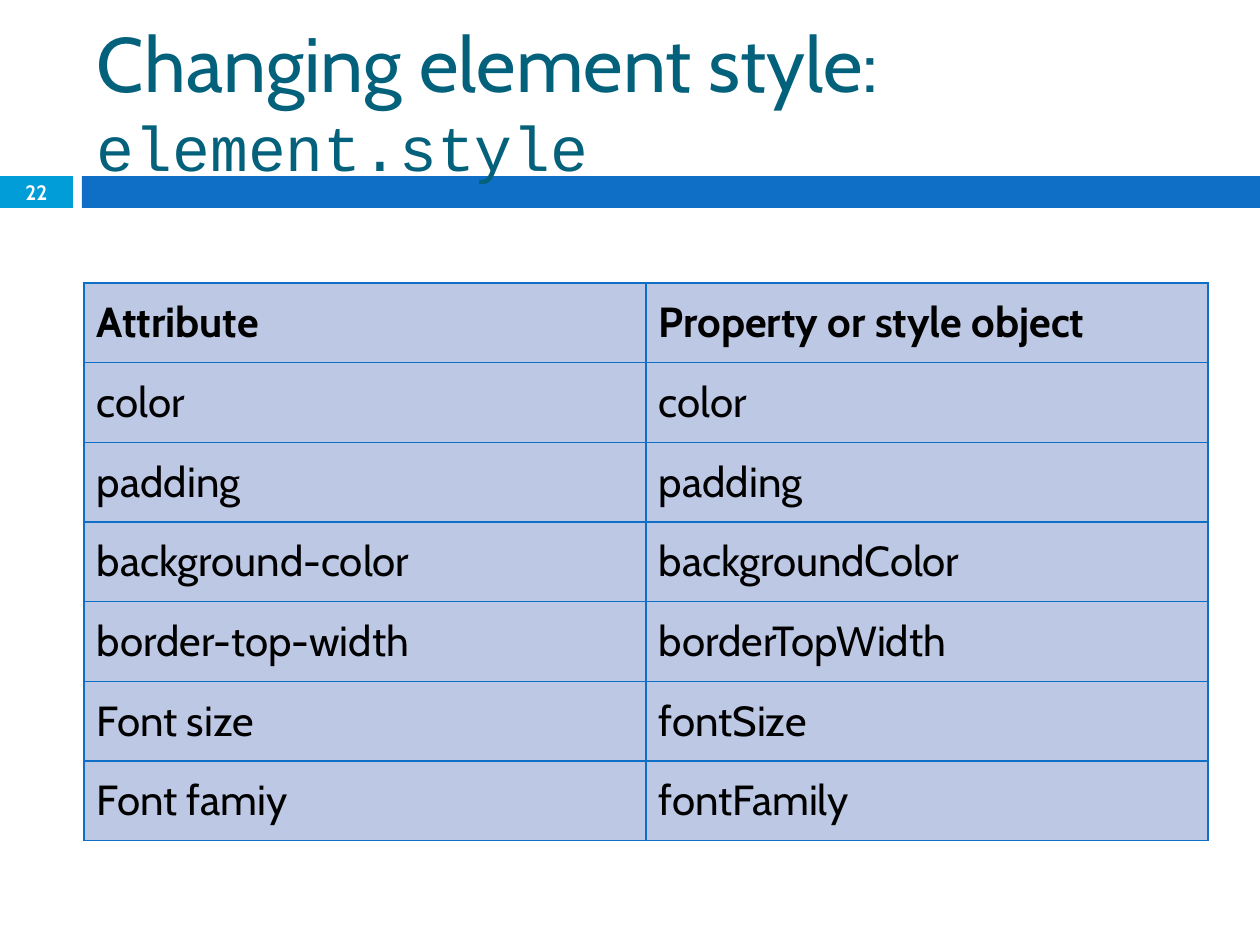
from lxml.etree import SubElement
from pptx import Presentation
from pptx.dml.color import RGBColor
from pptx.enum.shapes import MSO_SHAPE
from pptx.enum.text import MSO_ANCHOR, PP_ALIGN
from pptx.oxml.ns import qn
from pptx.util import Pt

EMU_PER_PX = 914400 / 126
COLORS = {
    "title": "04617B",
    "badge": "009DD9",
    "band": "0F6FC6",
    "cell": "BDC8E4",
    "text": "000000",
    "white": "FFFFFF",
}
ROWS = [
    ("Attribute", "Property or style object"),
    ("color", "color"),
    ("padding", "padding"),
    ("background-color", "backgroundColor"),
    ("border-top-width", "borderTopWidth"),
    ("Font size", "fontSize"),
    ("Font famiy", "fontFamily"),
]


def px(value):
    return round(value * EMU_PER_PX)


def color(name):
    return RGBColor.from_string(COLORS[name])


def add_text(paragraph, text, size=24, font="Cabin", fill="text", bold=False):
    run = paragraph.add_run()
    run.text = text
    run.font.size = Pt(size)
    run.font.name = font
    run.font.bold = bold
    run.font.color.rgb = color(fill)


class SlideBuilder:
    """Draws styled elements on the current slide."""

    def __init__(self, slide):
        self.slide = slide

    def bar(self, left, top, width, height, fill):
        shape = self.slide.shapes.add_shape(
            MSO_SHAPE.RECTANGLE, px(left), px(top), px(width), px(height))
        shape.shadow.inherit = False
        shape.fill.solid()
        shape.fill.fore_color.rgb = color(fill)
        shape.line.fill.background()

    def text_box(self, left, top, width, height, align=PP_ALIGN.LEFT, margin=13):
        box = self.slide.shapes.add_textbox(px(left), px(top), px(width), px(height))
        frame = box.text_frame
        frame.word_wrap = True
        frame.vertical_anchor = MSO_ANCHOR.MIDDLE
        frame.margin_left = frame.margin_right = px(margin)
        paragraph = frame.paragraphs[0]
        paragraph.alignment = align
        return paragraph

    def border(self, cell):
        properties = cell._tc.get_or_add_tcPr()
        for position, side in enumerate(("lnL", "lnR", "lnT", "lnB")):
            line = SubElement(properties, qn(f"a:{side}"), w=str(Pt(0.79)))
            fill = SubElement(line, qn("a:solidFill"))
            SubElement(fill, qn("a:srgbClr"), val=COLORS["band"])
            properties.insert(position, line)

    def table(self, left, top, width, height, rows):
        table = self.slide.shapes.add_table(
            len(rows), len(rows[0]), px(left), px(top), px(width), px(height)).table
        for row_index, row in enumerate(rows):
            for column_index, text in enumerate(row):
                cell = table.cell(row_index, column_index)
                cell.fill.solid()
                cell.fill.fore_color.rgb = color("cell")
                cell.vertical_anchor = MSO_ANCHOR.MIDDLE
                cell.margin_left = cell.margin_right = px(13)
                add_text(cell.text_frame.paragraphs[0], text, bold=row_index == 0)
                self.border(cell)


def main():
    presentation = Presentation()
    presentation.slide_width = px(1260)
    presentation.slide_height = px(945)
    slide = presentation.slides.add_slide(presentation.slide_layouts[6])
    builder = SlideBuilder(slide)

    builder.bar(0, 176, 73, 32, "badge")
    builder.bar(82, 176, 1178, 32, "band")

    title = builder.text_box(84, 32, 1124, 136)
    add_text(title, "Changing element style: ", size=44, fill="title")
    add_text(title, "element.style", size=36, font="Courier New", fill="title")

    number = builder.text_box(0, 175, 73, 34, align=PP_ALIGN.CENTER, margin=0)
    add_text(number, "22", size=11.9, fill="white", bold=True)

    builder.table(84, 283, 1124, 558, ROWS)
    presentation.save("out.pptx")


if __name__ == "__main__":
    main()
